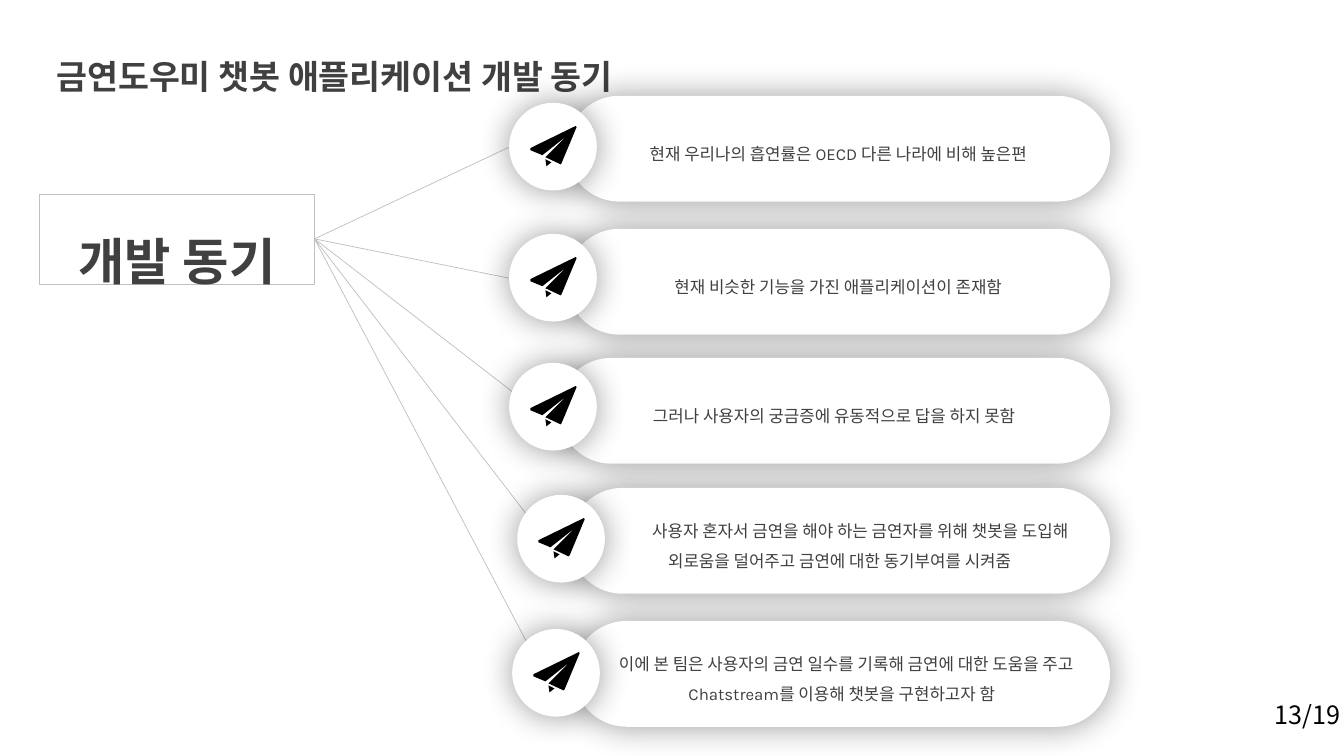
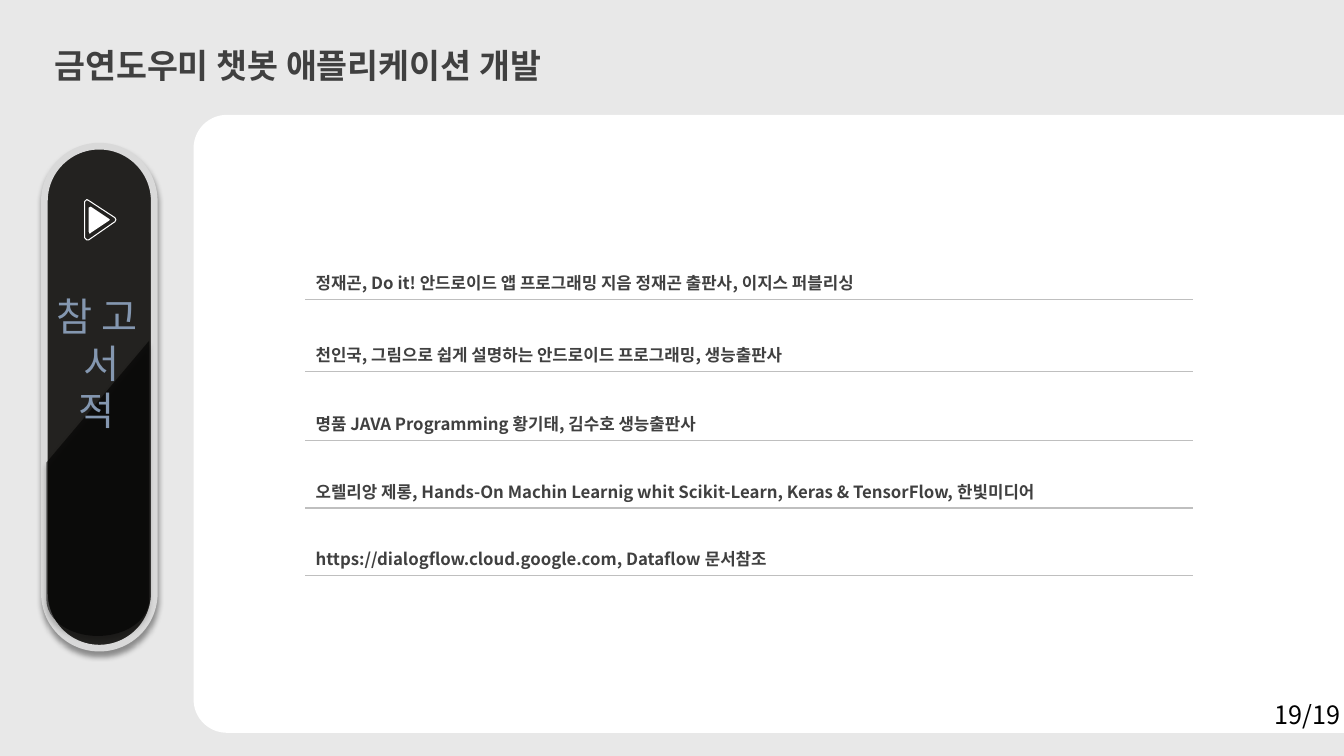
from dataclasses import dataclass
from math import cos, radians, sin

from lxml import etree
from pptx import Presentation
from pptx.dml.color import RGBColor
from pptx.enum.shapes import MSO_CONNECTOR, MSO_SHAPE
from pptx.enum.text import MSO_ANCHOR, PP_ALIGN
from pptx.oxml.ns import qn
from pptx.util import Emu, Pt

PX = 9144  # EMU in one px, 100 px to the inch
WIDE, HIGH = 1333, 750
LEFT, MID = PP_ALIGN.LEFT, PP_ALIGN.CENTER
TOP, CENTRE, BOTTOM = MSO_ANCHOR.TOP, MSO_ANCHOR.MIDDLE, MSO_ANCHOR.BOTTOM
RECT, OVAL = MSO_SHAPE.RECTANGLE, MSO_SHAPE.OVAL
ROUND = MSO_SHAPE.ROUNDED_RECTANGLE
STRAIGHT = MSO_CONNECTOR.STRAIGHT
NOTO = "Noto Sans CJK KR"
PLAIN = "{2D5ABB26-0587-4C30-8999-92F81FD0307C}"  # table style without grid
INK = {
    "white": "FFFFFF", "black": "000000", "text": "404040", "rule": "BFBFBF",
    "back": "E8E8E8", "pill": "232220", "rim": "D9D9D9", "blue": "8497B0",
}


@dataclass(frozen=True)
class Look:
    size: int
    ink: str = "text"
    bold: bool = False
    font: str = NOTO
    gap: float = 1.0
    align: PP_ALIGN = LEFT


@dataclass(frozen=True)
class Glow:
    blur: int
    dist: int = 0
    turn: int = 0


@dataclass(frozen=True)
class Point:
    """One reason: its pill, its round badge and where its line aims."""
    text: str
    left: int
    top: int
    badge: tuple[int, int]
    aim: tuple[int, int]
    indent: int = 0


TITLE = Look(24, bold=True, gap=1.5)
HEAD = Look(36, bold=True, gap=1.5, align=MID)
BODY = Look(12, font="Karla", gap=1.5, align=MID)
BOOK = Look(12, bold=True)
SIDE = Look(28, "blue", align=MID)
PAGE = Look(18, "black")
HALO, DROP = Glow(24), Glow(4, 3, 90)

HUB = (312, 237)
PILL_END, PILL_HIGH, BADGE = 1101, 105, 87
POINTS = [
    Point("현재 우리나의 흡연률은 OECD 다른 나라에 비해 높은편",
          562, 95, (505, 102), (505, 146)),
    Point("현재 비슷한 기능을 가진 애플리케이션이 존재함",
          562, 227, (505, 232), (505, 276)),
    Point("그러나 사용자의 궁금증에 유동적으로 답을 하지 못함",
          554, 355, (505, 360), (541, 414)),
    Point("사용자 혼자서 금연을 해야 하는 금연자를 위해 챗봇을 도입해 "
          "외로움을 덜어주고 금연에 대한 동기부여를 시켜줌",
          565, 484, (513, 491), (549, 545), 41),
    Point("이에 본 팀은 사용자의 금연 일수를 기록해 금연에 대한 도움을 주고 "
          "Chatstream를 이용해 챗봇을 구현하고자 함",
          569, 616, (508, 624), (544, 678), 9),
]
FIN = [(15, 33), (21, 36), (16, 40)]
WING = [(45, 0), (46, 1), (31, 37), (30, 38), (15, 31), (36, 10), (12, 29),
        (0, 24), (0, 22)]
PLAY_RIM = [(114, 216), (88, 199), (86, 198), (84, 200), (84, 236), (86, 238),
            (88, 238), (114, 220), (115, 218)]
PLAY = [(108, 217), (90, 205), (88, 206), (88, 230), (89, 232), (90, 231),
        (108, 219), (109, 218)]
BOOKS = [
    (79, "정재곤, Do it! 안드로이드 앱 프로그래밍 지음 정재곤 출판사, 이지스 퍼블리싱"),
    (72, "천인국, 그림으로 쉽게 설명하는 안드로이드 프로그래밍, 생능출판사"),
    (68, "명품 JAVA Programming 황기태, 김수호 생능출판사"),
    (67, "오렐리앙 제롱, Hands-On Machin Learnig whit Scikit-Learn, "
         "Keras & TensorFlow, 한빛미디어"),
    (67, "https://dialogflow.cloud.google.com, Dataflow 문서참조"),
]


def px(*sizes: float) -> list[Emu]:
    return [Emu(round(size * PX)) for size in sizes]


def rgb(ink: str) -> RGBColor:
    return RGBColor.from_string(INK[ink])


def add(home, tag: str, **attrs):
    return etree.SubElement(home, qn(tag), {k: str(v) for k, v in attrs.items()})


def write(frame, text: str, look: Look) -> None:
    frame.text = text
    for para in frame.paragraphs:
        para.alignment, para.line_spacing = look.align, look.gap
        for run in para.runs:
            font = run.font
            font.size, font.bold, font.name = Pt(look.size), look.bold, look.font
            font.color.rgb = rgb(look.ink)
            add(run.font._element, "a:ea", typeface=NOTO)


def label(slide, text: str, box: tuple, look: Look, pad: bool = True):
    frame = slide.shapes.add_textbox(*px(*box)).text_frame
    frame.word_wrap = True
    if not pad:
        bare(frame)
    write(frame, text, look)
    return frame


def bare(frame) -> None:
    """Take away the inner margins."""
    frame.margin_left = frame.margin_right = 0
    frame.margin_top = frame.margin_bottom = 0


def paint(shape, fill: str = "", line: str = "", width: float = 0.75,
          glow: Glow | None = None):
    if fill:
        shape.fill.solid()
        shape.fill.fore_color.rgb = rgb(fill)
    else:
        shape.fill.background()
    if line:
        shape.line.color.rgb = rgb(line)
        shape.line.width = Pt(width)
    else:
        shape.line.fill.background()
    shape.shadow.inherit = False
    if glow:
        effect = shape.element.spPr.find(qn("a:effectLst"))
        shade = add(effect, "a:outerShdw", blurRad=Pt(glow.blur),
                    dist=Pt(glow.dist), dir=glow.turn * 60000,
                    algn="ctr", rotWithShape=0)
        tint = add(shade, "a:srgbClr", val=INK["black"])
        add(tint, "a:alpha", val=40000)
    return shape


def block(slide, kind: MSO_SHAPE, box: tuple, **style):
    shape = slide.shapes.add_shape(kind, *px(*box))
    if kind == ROUND:
        shape.adjustments[0] = 0.5
    return paint(shape, **style)


def trace(slide, *loops: list, at: tuple = (0, 0), **style):
    """Draw closed outlines as one freeform, moved by at."""
    paths = [[px(x + at[0], y + at[1]) for x, y in loop] for loop in loops]
    pen = slide.shapes.build_freeform(*paths[0][0], scale=1.0)
    for i, path in enumerate(paths):
        if i:
            pen.move_to(*path[0])
        pen.add_line_segments(path[1:], close=True)
    return paint(pen.convert_to_shape(), **style)


def arc(x: int, y: int, wide: int, high: int, start: int, end: int) -> list:
    steps = 24
    turns = [radians(start + (end - start) * i / steps) for i in range(steps + 1)]
    return [(x + wide * cos(t), y + high * sin(t)) for t in turns]


def start(deck, title: str, box: tuple):
    slide = deck.slides.add_slide(deck.slide_layouts[6])
    label(slide, title, box, TITLE)
    return slide


def number(slide, page: int) -> None:
    label(slide, f"{page}/19", (1264, 694, 69, 30), PAGE, pad=False)


def ray(slide, point: Point) -> None:
    line = slide.shapes.add_connector(STRAIGHT, *px(*point.aim, *HUB))
    line.line.color.rgb = rgb("rule")
    line.line.width = Pt(0.5)
    add(line.element.spPr, "a:effectLst")


def pill(slide, point: Point) -> None:
    box = (point.left, point.top, PILL_END - point.left, PILL_HIGH)
    frame = block(slide, ROUND, box, fill="white", glow=HALO).text_frame
    bare(frame)
    frame.word_wrap, frame.vertical_anchor = True, CENTRE
    write(frame, point.text, BODY)
    indent(frame.paragraphs[0], point.indent)


def indent(para, size: int) -> None:
    para._p.get_or_add_pPr().set("indent", str(size * PX))


def badge(slide, point: Point) -> None:
    x, y = point.badge
    block(slide, OVAL, (x, y, BADGE, BADGE), fill="white", glow=HALO)
    trace(slide, FIN, WING, at=(x + 21, y + 23), fill="black")


def motive(deck) -> None:
    slide = start(deck, "금연도우미 챗봇 애플리케이션 개발 동기", (46, 31, 695, 63))
    for point in POINTS:
        pill(slide, point)
    frame = block(slide, RECT, (39, 193, 273, 89), line="rule").text_frame
    frame.word_wrap, frame.vertical_anchor = True, TOP
    write(frame, "개발 동기", HEAD)
    for point in POINTS:
        ray(slide, point)
    for point in POINTS:
        badge(slide, point)
    number(slide, 13)


def shelf(slide) -> None:
    """The table of books, ruled below each row."""
    high = sum(size for size, _ in BOOKS)
    table = slide.shapes.add_table(len(BOOKS), 1, *px(303, 218, 880, high)).table
    table.first_row = table.horz_banding = False
    table._tbl.tblPr.find(qn("a:tableStyleId")).text = PLAIN
    for row, (size, text) in zip(table.rows, BOOKS):
        row.height = px(size)[0]
        cell = row.cells[0]
        cell.vertical_anchor = BOTTOM
        write(cell.text_frame, text, BOOK)
        rule = add(cell._tc.get_or_add_tcPr(), "a:lnB", w=Pt(1))
        add(add(rule, "a:solidFill"), "a:srgbClr", val=INK["rule"])
        cell.fill.background()


def sources(deck) -> None:
    slide = start(deck, "금연도우미 챗봇 애플리케이션 개발", (44, 20, 584, 63))
    slide.background.fill.solid()
    slide.background.fill.fore_color.rgb = rgb("back")
    panel = [(WIDE, 727), *arc(225, 694, 33, 33, 90, 180),
             *arc(225, 147, 33, 33, 180, 270), (WIDE, 114)]
    trace(slide, panel, fill="white")
    block(slide, ROUND, (44, 145, 109, 498), fill="pill", line="rim",
          width=4.75, glow=DROP)
    shade = trace(slide, [(148, 338), *arc(97, 595, 51, 36, 0, 180), (46, 459)],
                  fill="black", glow=DROP)
    tint = shade.element.spPr.find(qn("a:solidFill"))[0]
    add(tint, "a:alpha", val=57000)
    frame = label(slide, "참 고\n서\n적", (44, 285, 104, 199), SIDE)
    indent(frame.paragraphs[1], 10)
    trace(slide, PLAY_RIM, line="white")
    trace(slide, PLAY, fill="white")
    shelf(slide)
    number(slide, 19)


def main() -> None:
    deck = Presentation()
    deck.slide_width, deck.slide_height = px(WIDE, HIGH)
    motive(deck)
    sources(deck)
    deck.save("out.pptx")


if __name__ == "__main__":
    main()
